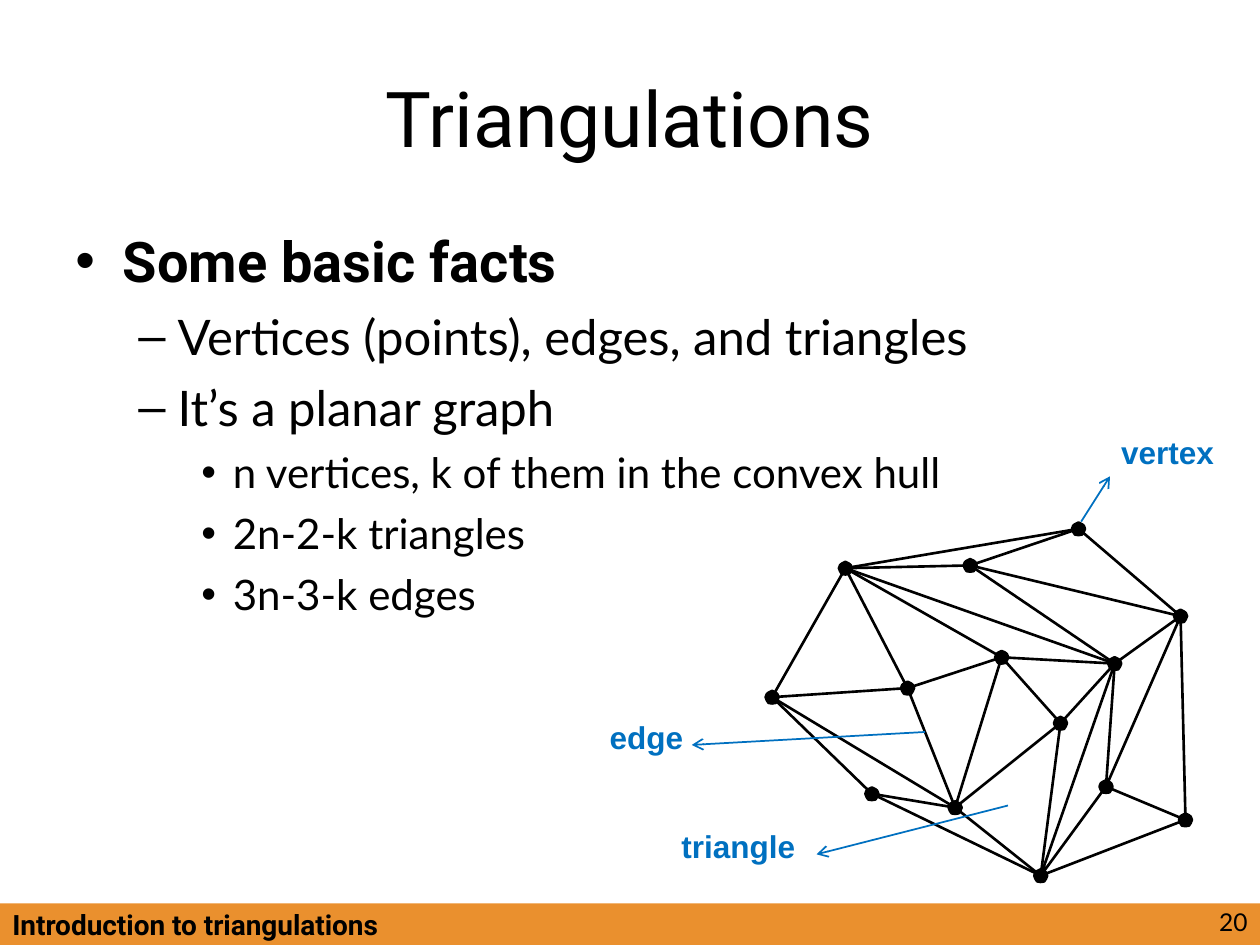
"""Build a slide on the basic facts of triangulations."""
from typing import NamedTuple

from lxml import etree
from pptx import Presentation
from pptx.dml.color import RGBColor
from pptx.enum.shapes import MSO_CONNECTOR, MSO_SHAPE
from pptx.enum.text import MSO_ANCHOR, MSO_AUTO_SIZE, PP_ALIGN
from pptx.oxml.ns import qn
from pptx.util import Pt

STRAIGHT = MSO_CONNECTOR.STRAIGHT
RECTANGLE = MSO_SHAPE.RECTANGLE
MIDDLE = MSO_ANCHOR.MIDDLE
FIT_SHAPE, NO_FIT = MSO_AUTO_SIZE.SHAPE_TO_FIT_TEXT, MSO_AUTO_SIZE.NONE
LEFT, CENTER, RIGHT = PP_ALIGN.LEFT, PP_ALIGN.CENTER, PP_ALIGN.RIGHT

COLORS = {"ink": "000000", "bar": "EA902E", "label": "0070C0"}

Point = tuple[float, float]


class Style(NamedTuple):
    font: str
    size: float
    bold: bool = False
    color: str = "ink"


class Level(NamedTuple):
    bullet: str
    margin: float
    hanging: float
    before: float
    style: Style


class Label(NamedTuple):
    text: str
    left: float
    top: float
    width: float
    height: float
    style: Style
    align: PP_ALIGN = LEFT
    wrap: bool = False


class Arrow(NamedTuple):
    start: Point
    end: Point


LEVELS = [
    Level("•", 27, 27, 8, Style("Roboto", 32, True)),
    Level("–", 58.5, 22.5, 7, Style("Lato", 28)),
    Level("•", 90, 18, 6, Style("Lato", 24)),
]
FACTS = [
    (0, "Some basic facts"),
    (1, "Vertices (points), edges, and triangles"),
    (1, "It’s a planar graph"),
    (2, "n vertices, k of them in the convex hull"),
    (2, "2n-2-k triangles"),
    (2, "3n-3-k edges"),
]

VERTICES: dict[str, Point] = {
    "A": (483.1, 324.7), "B": (616.3, 302.2), "C": (674.6, 352.1),
    "D": (677.4, 468.5), "E": (594.7, 500.4), "F": (498.2, 453.6),
    "G": (441.2, 398.4), "H": (518.6, 393.2), "I": (545.8, 461.5),
    "J": (572.4, 375.6), "K": (606, 413.3), "L": (637, 379.2),
    "M": (632, 449.5), "N": (554.4, 323.1),
}
HULL = "ABCDEFGA"
INNER_PATHS = ["AJHA", "JKIJ", "LEM", "MCL", "ANL"]
INNER_EDGES = ["ML", "MD", "IE", "IF", "KE", "KL", "AL", "LJ",
               "NB", "NC", "GI", "GH", "HI"]
DOT = [(3.7, 0), (3, -1.8), (2, -2.6), (0, -3.6), (-2, -2.6), (-3, -1.8),
       (-3.7, 0), (-3, 1.8), (-2, 3.3), (0, 3.6), (2, 3.3), (3, 1.8)]

CALLOUT = Style("Arial", 18, True, "label")
LABELS = [
    Label("Introduction to triangulations", 0, 514.8, 367.2, 26.6,
          Style("Roboto", 16, True), wrap=True),
    Label("20", 552.2, 514.8, 167.8, 25.2, Style("Lato", 14), RIGHT, True),
    Label("vertex", 633.6, 244.1, 70, 28.8, CALLOUT),
    Label("edge", 341.3, 406.8, 58, 28.8, CALLOUT),
    Label("triangle", 382.3, 469, 82, 28.8, CALLOUT),
]
ARROWS = [
    Arrow((617.8, 298.1), (634.3, 272.2)),
    Arrow((528.5, 418.3), (395.3, 425.7)),
    Arrow((576, 460.3), (466.6, 488.2)),
]


def rgb(name: str) -> RGBColor:
    return RGBColor.from_string(COLORS[name])


def add_run(p, text: str, style: Style) -> None:
    r = p.add_run()
    r.text = text
    r.font.name, r.font.size, r.font.bold = style.font, Pt(style.size), style.bold
    r.font.color.rgb = rgb(style.color)


def add_title(s, text: str) -> None:
    sp = s.shapes.title
    sp.left, sp.top, sp.width, sp.height = Pt(36), Pt(21.6), Pt(648), Pt(90)
    tf = sp.text_frame
    tf.auto_size, tf.vertical_anchor = NO_FIT, MIDDLE
    p = tf.paragraphs[0]
    p.alignment = CENTER
    add_run(p, text, Style("Roboto", 44))


def add_label(s, label: Label) -> None:
    sp = s.shapes.add_textbox(Pt(label.left), Pt(label.top),
                              Pt(label.width), Pt(label.height))
    tf = sp.text_frame
    tf.word_wrap = label.wrap
    tf.auto_size = FIT_SHAPE if label.wrap else NO_FIT
    p = tf.paragraphs[0]
    p.alignment = label.align
    add_run(p, label.text, label.style)


def add_facts(s) -> None:
    tf = s.shapes.add_textbox(Pt(36), Pt(126), Pt(648), Pt(356.4)).text_frame
    tf.word_wrap = True
    for i, (depth, text) in enumerate(FACTS):
        level = LEVELS[depth]
        p = tf.add_paragraph() if i else tf.paragraphs[0]
        p.level = depth
        pPr = p._p.get_or_add_pPr()
        pPr.set("marL", str(Pt(level.margin)))
        pPr.set("indent", str(-Pt(level.hanging)))
        etree.SubElement(pPr, qn("a:buFont"), typeface="Arial")
        etree.SubElement(pPr, qn("a:buChar"), char=level.bullet)
        if i:
            p.space_before = Pt(level.before)
        add_run(p, text, level.style)


def add_path(shapes, points: list[Point], filled: bool = False) -> None:
    corners = [(Pt(x), Pt(y)) for x, y in points]
    builder = shapes.build_freeform(*corners[0])
    builder.add_line_segments(corners[1:], close=filled)
    sp = builder.convert_to_shape()
    sp.shadow.inherit = False
    sp.line.color.rgb, sp.line.width = rgb("ink"), Pt(1.5)
    if filled:
        sp.fill.solid()
        sp.fill.fore_color.rgb = rgb("ink")
    else:
        sp.fill.background()


def add_line(shapes, start: Point, end: Point, color: str, width: float,
             arrow: bool = False) -> None:
    sp = shapes.add_connector(STRAIGHT, *map(Pt, start + end))
    sp.line.color.rgb, sp.line.width = rgb(color), Pt(width)
    spPr = sp._element.spPr
    if arrow:
        etree.SubElement(spPr.find(qn("a:ln")), qn("a:tailEnd"), type="arrow")
    etree.SubElement(spPr, qn("a:effectLst"))


def add_triangulation(s) -> None:
    edges = s.shapes.add_group_shape().shapes
    for names in INNER_PATHS:
        add_path(edges, [VERTICES[name] for name in names])
    for start, end in INNER_EDGES:
        add_line(edges, VERTICES[start], VERTICES[end], "ink", 1.5)
    add_path(s.shapes, [VERTICES[name] for name in HULL])
    dots = s.shapes.add_group_shape().shapes
    for x, y in VERTICES.values():
        add_path(dots, [(x + dx, y + dy) for dx, dy in DOT], filled=True)


def add_bar(s) -> None:
    sp = s.shapes.add_shape(RECTANGLE, Pt(0), Pt(516.2), Pt(720), Pt(23.8))
    sp.shadow.inherit = False
    sp.fill.solid()
    sp.fill.fore_color.rgb = rgb("bar")
    sp.line.fill.background()


def main() -> None:
    prs = Presentation()
    prs.slide_width, prs.slide_height = Pt(720), Pt(540)
    s = prs.slides.add_slide(prs.slide_layouts[5])
    add_bar(s)
    add_title(s, "Triangulations")
    add_facts(s)
    add_triangulation(s)
    for label in LABELS:
        add_label(s, label)
    for arrow in ARROWS:
        add_line(s.shapes, arrow.start, arrow.end, "label", 1, arrow=True)
    prs.save("out.pptx")


if __name__ == "__main__":
    main()
